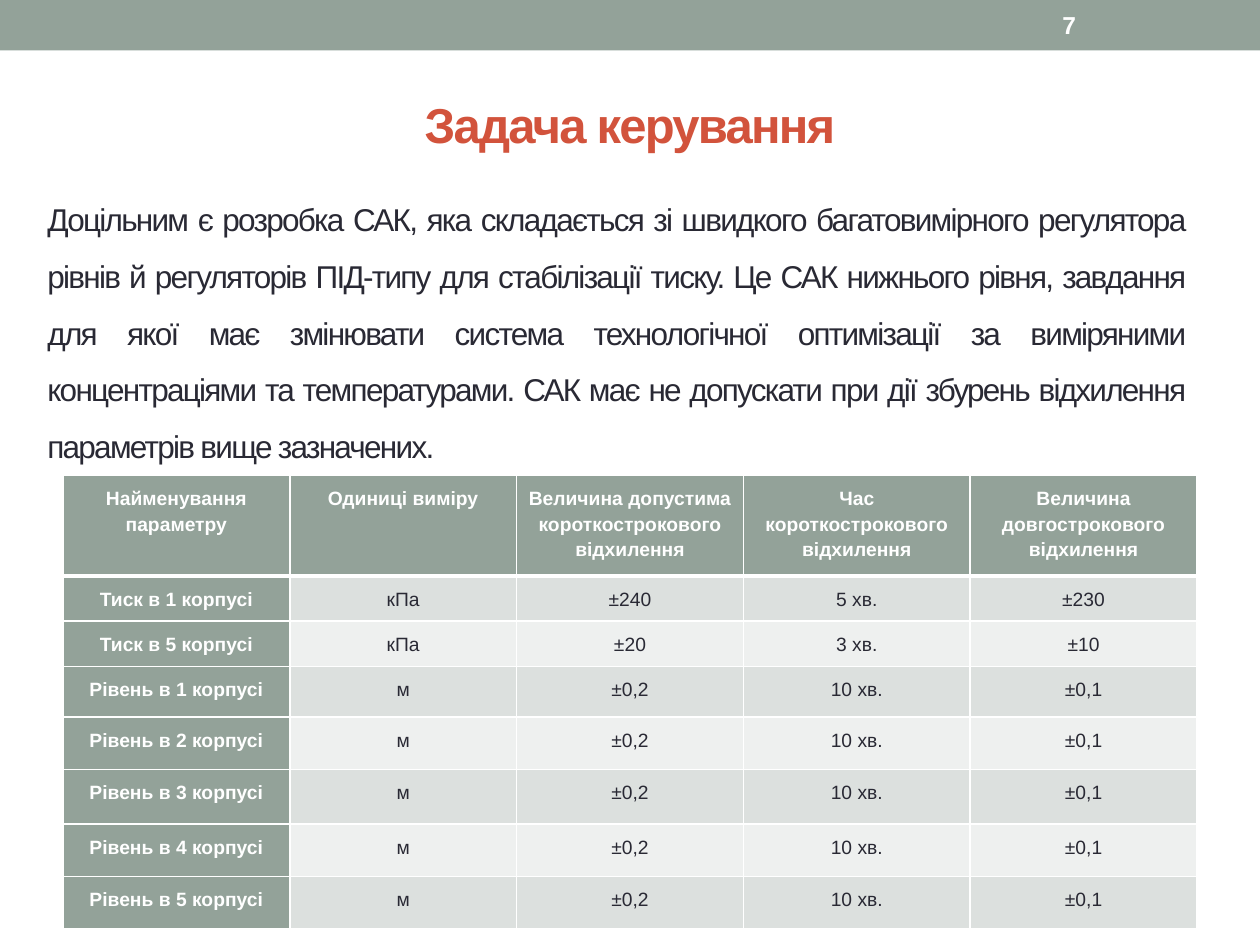
from lxml import etree
from pptx import Presentation
from pptx.dml.color import RGBColor
from pptx.enum.shapes import MSO_SHAPE
from pptx.enum.text import MSO_ANCHOR, PP_ALIGN
from pptx.oxml.ns import qn
from pptx.util import Pt

RECTANGLE = MSO_SHAPE.RECTANGLE
TOP, MIDDLE = MSO_ANCHOR.TOP, MSO_ANCHOR.MIDDLE
LEFT, CENTER, JUSTIFY = PP_ALIGN.LEFT, PP_ALIGN.CENTER, PP_ALIGN.JUSTIFY

SAGE = RGBColor(0x93, 0xA2, 0x99)
BAND_DARK = RGBColor(0xDC, 0xE0, 0xDE)
BAND_LIGHT = RGBColor(0xEE, 0xF0, 0xEF)
RED = RGBColor(0xD2, 0x53, 0x3C)
INK = RGBColor(0x29, 0x29, 0x34)
WHITE = RGBColor(0xFF, 0xFF, 0xFF)
FONT = "Arial"

TITLE = "Задача керування"
BODY = (
    "Доцільним є розробка САК, яка складається зі швидкого багатовимірного "
    "регулятора рівнів й регуляторів ПІД-типу для стабілізації тиску. Це САК "
    "нижнього рівня, завдання для якої має змінювати система технологічної "
    "оптимізації за виміряними концентраціями та температурами. САК має не "
    "допускати при дії збурень відхилення параметрів вище зазначених."
)
HEADINGS = [
    "Найменування параметру",
    "Одиниці виміру",
    "Величина допустима короткострокового відхилення",
    "Час короткострокового відхилення",
    "Величина довгострокового відхилення",
]
PRESSURES = [
    ["Тиск в 1 корпусі", "кПа", "±240", "5 хв.", "±230"],
    ["Тиск в 5 корпусі", "кПа", "±20", "3 хв.", "±10"],
]
LEVELS = [[f"Рівень в {number} корпусі", "м", "±0,2", "10 хв.", "±0,1"]
          for number in range(1, 6)]
ROW_HEIGHTS = [44, 17.5, 21.5, 29, 30, 31, 30, 30]
CELL_MARGIN = 5


def add_span(para, text, size, color, bold=False, spacing=0):
    span = para.add_run()
    span.text = text
    span.font.name = FONT
    span.font.size = Pt(size)
    span.font.bold = bold
    span.font.color.rgb = color
    if spacing:
        span.font._element.set("spc", str(spacing * 100))


def add_text(page, box, text, size, color, align, anchor=TOP,
             bold=False, spacing=0, line_spacing=1.0):
    frame = page.shapes.add_textbox(*map(Pt, box)).text_frame
    frame.word_wrap = True
    frame.vertical_anchor = anchor
    para = frame.paragraphs[0]
    para.alignment = align
    para.line_spacing = line_spacing
    add_span(para, text, size, color, bold, spacing)


def add_top_bar(page, box):
    left, top, width, height = box
    bar = page.shapes.add_shape(RECTANGLE, *map(Pt, box))
    bar.shadow.inherit = False
    bar.fill.solid()
    bar.fill.fore_color.rgb = SAGE
    bar.line.fill.background()
    # Page number
    add_text(page, (left + width - 120, top + 1.5, 84, height - 3),
             "7", 14, WHITE, LEFT, MIDDLE, bold=True)


def set_borders(cell, widths):
    properties = cell._tc.get_or_add_tcPr()
    for side, width in widths.items():
        line = etree.SubElement(properties, qn(f"a:ln{side}"), w=str(Pt(width)))
        fill = etree.SubElement(line, qn("a:solidFill"))
        etree.SubElement(fill, qn("a:srgbClr"), val=str(WHITE))


def fill_cell(cell, text, row, column):
    is_heading = row == 0 or column == 0
    cell.margin_left = cell.margin_right = Pt(CELL_MARGIN)
    cell.margin_top = cell.margin_bottom = Pt(CELL_MARGIN)
    # The rule under the heading row is heavier
    set_borders(cell, {"L": 1, "R": 1,
                       "T": 3 if row == 1 else 1,
                       "B": 3 if row == 0 else 1})
    cell.fill.solid()
    band = BAND_DARK if row % 2 else BAND_LIGHT
    cell.fill.fore_color.rgb = SAGE if is_heading else band
    para = cell.text_frame.paragraphs[0]
    para.alignment = CENTER
    para.line_spacing = 1.2
    add_span(para, text, 11, WHITE if is_heading else INK, bold=is_heading)


def add_limits_table(page, box):
    rows = [HEADINGS] + PRESSURES + LEVELS
    table = page.shapes.add_table(len(rows), len(HEADINGS), *map(Pt, box)).table
    table.first_col = True
    for column in table.columns:
        column.width = Pt(box[2] / len(HEADINGS))
    for row, (texts, height) in enumerate(zip(rows, ROW_HEIGHTS)):
        table.rows[row].height = Pt(height)
        for column, text in enumerate(texts):
            fill_cell(table.cell(row, column), text, row, column)


def main():
    deck = Presentation()
    deck.slide_width, deck.slide_height = Pt(720), Pt(540)
    page = deck.slides.add_slide(deck.slide_layouts[6])

    # Top bar
    add_top_bar(page, (0, 0, 720, 28.8))
    # Title
    add_text(page, (36, 42, 648, 57.6), TITLE, 28, RED, CENTER, MIDDLE,
             bold=True, spacing=-1)
    # Table of permitted deviations
    add_limits_table(page, (36, 271.5, 648, sum(ROW_HEIGHTS)))
    # Task description
    add_text(page, (20, 100, 664, 167), BODY, 18, INK, JUSTIFY,
             spacing=-1, line_spacing=1.5)

    deck.save("out.pptx")


if __name__ == "__main__":
    main()
